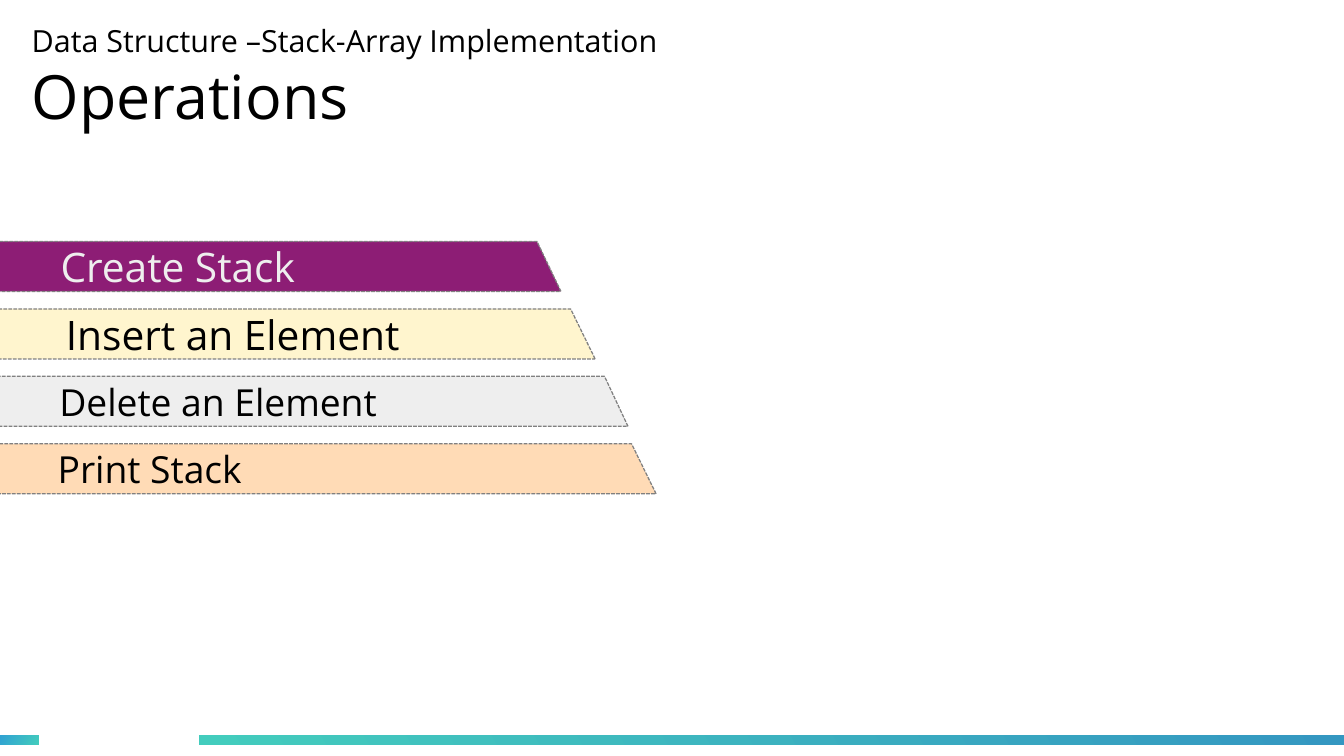
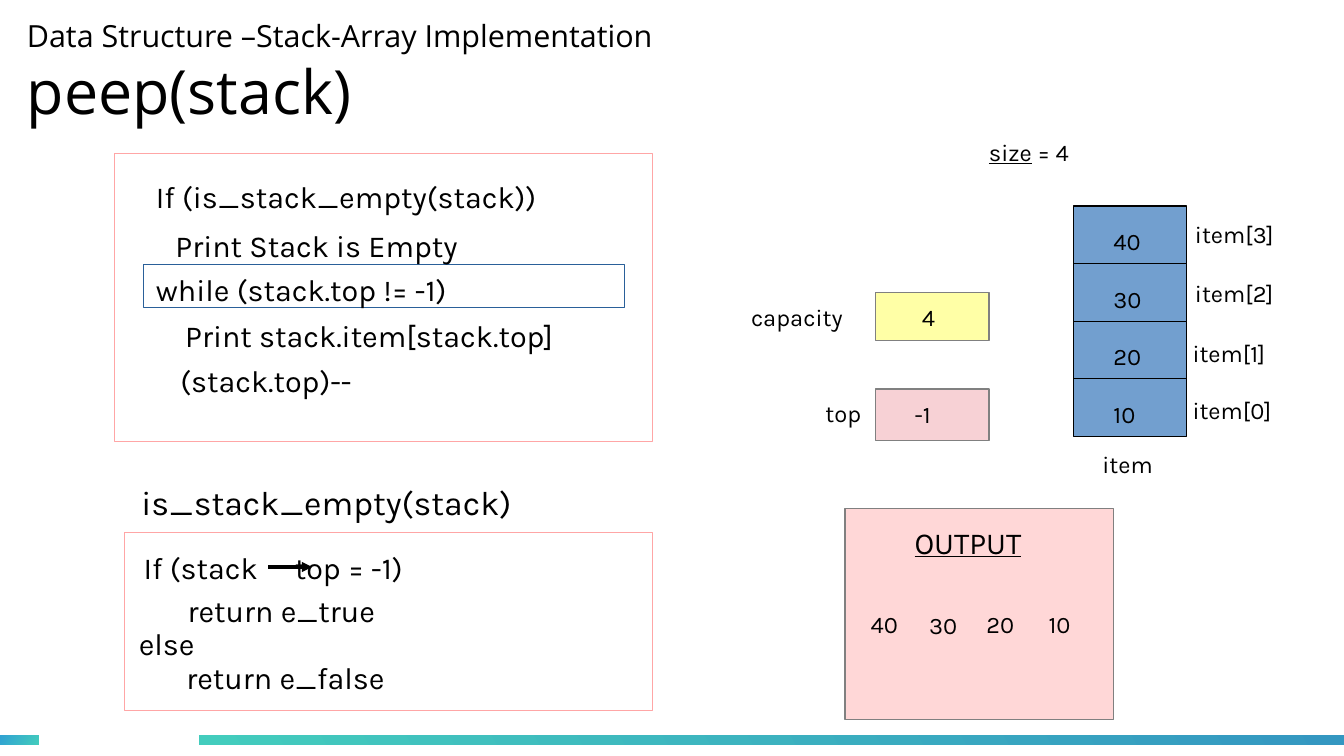
from dataclasses import dataclass

from lxml.etree import SubElement
from pptx import Presentation
from pptx.dml.color import RGBColor
from pptx.enum.dml import MSO_LINE
from pptx.enum.shapes import MSO_CONNECTOR, MSO_SHAPE
from pptx.enum.text import MSO_ANCHOR, PP_ALIGN
from pptx.oxml.ns import qn
from pptx.util import Inches, Pt

# Grid: one column or row is a tenth of an inch
COLUMNS, ROWS = 110.2, 62
HEADING_FONT, CODE_FONT = "Open Sans", "Karla"
BLACK, WHITE, GREY = "000000", "FFFFFF", "808080"
PINK_EDGE, PINK, ROSE, YELLOW = "FFA6A6", "FFD7D7", "F7D1D5", "FFFFA6"
CELL_BLUE, FRAME_BLUE = "729FCF", "2A6099"
TEAL, SKY, SEA = "43CCBD", "30A2D2", "3497C1"
TOPIC = "Data Structure –Stack-Array Implementation"


def grid(count):
    return Inches(count / 10)


def colour(value):
    return RGBColor.from_string(value)


@dataclass
class Box:
    left: float
    top: float
    width: float
    height: float

    def area(self, column, row, width, height):
        return Box(self.left + column, self.top + row, width, height)

    def place(self):
        return [grid(side) for side in (self.left, self.top, self.width, self.height)]


def add_span(para, text, size=14, font=CODE_FONT, ink=BLACK, underline=False):
    span = para.add_run()
    span.text = text
    span.font.size = Pt(size)
    span.font.name = font
    span.font.color.rgb = colour(ink)
    span.font.underline = underline


def set_frame(frame, inset=(1, 0.5), anchor=MSO_ANCHOR.TOP):
    frame.word_wrap = True
    frame.vertical_anchor = anchor
    frame.margin_left = frame.margin_right = grid(inset[0])
    frame.margin_top = frame.margin_bottom = grid(inset[1])
    para = frame.paragraphs[0]
    para.alignment = PP_ALIGN.LEFT
    return para


def add_text(page, box, text, **style):
    holder = page.shapes.add_textbox(*box.place())
    para = set_frame(holder.text_frame)
    add_span(para, text, **style)
    return para


def add_block(page, box, fill=WHITE, edge=None, kind=MSO_SHAPE.RECTANGLE, flip=""):
    block = page.shapes.add_shape(kind, *box.place())
    block.shadow.inherit = False
    block.fill.solid()
    block.fill.fore_color.rgb = colour(fill)
    if edge:
        block.line.color.rgb = colour(edge)
        block.line.width = Pt(0)
    else:
        block.line.fill.background()
    for axis in flip:
        block.element.spPr.find(qn("a:xfrm")).set("flip" + axis, "1")
    return block


def add_value(page, box, text, fill, edge, inset):
    block = add_block(page, box, fill, edge)
    para = set_frame(block.text_frame, inset)
    block.text_frame.margin_right = block.text_frame.margin_bottom = 0
    add_span(para, text)


def add_arrow(page, box):
    left, top, width, height = box.place()
    arrow = page.shapes.add_connector(
        MSO_CONNECTOR.STRAIGHT, left, top, left + width, top + height)
    arrow.line.color.rgb = colour(BLACK)
    arrow.line.width = Pt(0)
    SubElement(arrow.element.spPr.find(qn("a:ln")), qn("a:tailEnd"), type="triangle")
    SubElement(arrow.element.spPr, qn("a:effectLst"))


def add_footer(deck, page, box):
    """Draw the two gradient bars and hand them to the slide master."""
    bars = [(0, 3.2, SKY, "V"), (16.3, 94, SEA, "HV")]
    for column, width, end, flip in bars:
        bar = add_block(page, box.area(column, 0, width, box.height), flip=flip)
        bar.fill.gradient()
        bar.fill.gradient_angle = 210
        for stop, place, shade in zip(bar.fill.gradient_stops, (0, 1), (TEAL, end)):
            stop.position = place
            stop.color.rgb = colour(shade)
        deck.slide_master.element.cSld.spTree.append(bar.element)


def add_page(deck, title, box):
    page = deck.slides.add_slide(deck.slide_layouts[5])
    holder = page.shapes.title
    holder.left, holder.top, holder.width, holder.height = box.place()
    para = set_frame(holder.text_frame, (0, 0), MSO_ANCHOR.MIDDLE)
    add_span(para, TOPIC, size=18, font=HEADING_FONT)
    para.add_line_break()
    add_span(para, title, size=36, font=HEADING_FONT)
    return page


def add_bands(page, box):
    """Stack the slanted bands, each reaching further right."""
    bands = [
        # text, start, width, slant, indent, size, fill, ink
        ("Create Stack", 0, 48.6, 0.48, 2.7, 24, "8D1D75", "EEEEEE"),
        ("Insert an Element", 0.2, 51.2, 0.49, 2.7, 24, "FFF5CE", BLACK),
        ("Delete an Element", 0.4, 53.7, 0.47, 1.8, 22, "EEEEEE", BLACK),
        ("Print Stack", 0, 56.4, 0.49, 1.8, 22, "FFDBB6", BLACK),
    ]
    height = 4.1
    step = (box.height - height) / (len(bands) - 1)
    for index, (text, start, width, slant, indent, size, fill, ink) in enumerate(bands):
        band = add_block(page, box.area(start, index * step, width, height), fill, GREY,
                         MSO_SHAPE.PARALLELOGRAM, "H")
        band.adjustments[0] = slant
        band.line.dash_style = MSO_LINE.SQUARE_DOT
        para = set_frame(band.text_frame, (indent, 0.5), MSO_ANCHOR.MIDDLE)
        add_span(para, text, size=size, font=HEADING_FONT, ink=ink)


def add_code(page, box, lines):
    for text, column, row in lines:
        add_text(page, box.area(column, row, 39, 4.4), text, size=18)


def add_loop_panel(page, box):
    add_block(page, box, WHITE, PINK_EDGE)
    add_block(page, box.area(2.4, 9.1, 39.4, 3.5), WHITE, FRAME_BLUE)
    add_code(page, box, [
        ("If (is_stack_empty(stack))", 2.4, 1.5),
        ("Print Stack is Empty", 4, 5.5),
        ("while (stack.top != -1)", 2.4, 9.1),
        ("Print stack.item[stack.top]", 4.8, 12.9),
        ("(stack.top)--", 4.4, 16.6),
    ])


def add_check_panel(page, box):
    add_text(page, box.area(0.4, -4.7, 36.2, 4.8), "is_stack_empty(stack)", size=20)
    add_block(page, box, WHITE, PINK_EDGE)
    add_code(page, box, [
        ("else", 0.2, 7.1),
        ("If (stack", 0.6, 0.8),
        ("top = -1)", 13, 0.8),
        ("return e_true", 4.2, 4.4),
        ("return e_false", 4.1, 9.9),
    ])
    add_arrow(page, box.area(11.8, 2.8, 3.6, 0))


def add_output_panel(page, box):
    add_block(page, box, PINK, GREY)
    add_text(page, box.area(4.7, 0.8, 12.2, 4.4), "OUTPUT", size=18, underline=True)
    outputs = [("40", 1.1, 7.8), ("30", 5.9, 7.9), ("20", 10.6, 7.8), ("10", 15.7, 7.8)]
    for text, column, row in outputs:
        add_text(page, box.area(column, row, 4.4, 3.6), text)


def add_variables(page, box):
    """Place each named variable beside the box that holds its value."""
    variables = [
        # name, name column, row, value, height, fill, inset
        ("capacity", 0, 0, "4", 3.9, YELLOW, (3.8, 0.8)),
        ("top", 6.1, 7.9, "-1", 4.2, ROSE, (3.2, 0.9)),
    ]
    for name, column, row, value, height, fill, inset in variables:
        add_text(page, box.area(column, row + 0.3, 13, 3.8), name)
        add_value(page, box.area(11.2, row, 9.3, height), value, fill, GREY, inset)


def add_stack_array(page, box):
    values = ["40", "30", "20", "10"]
    label_places = [(9, 0.6), (9, 5.5), (8.8, 10.4), (8.8, 15.1)]
    height = box.height / len(values)
    for index, (value, (column, row)) in enumerate(zip(values, label_places)):
        add_value(page, box.area(0, index * height, box.width, height),
                  value, CELL_BLUE, BLACK, (3.3, 1.7))
        add_text(page, box.area(column, row, 9.3, 5.6), f"item[{len(values) - 1 - index}]")
    add_text(page, box.area(1.4, 19.5, 8.2, 3.8), "item")
    para = add_text(page, box.area(-7.9, -6.1, 15.3, 3.8), "size", underline=True)
    add_span(para, " = 4")


def main():
    deck = Presentation()
    deck.slide_width, deck.slide_height = grid(COLUMNS), grid(ROWS)

    # Operations
    page = add_page(deck, "Operations", Box(2.6, 1.2, 76.8, 10.2))
    add_footer(deck, page, Box(0, 60.3, COLUMNS, 0.8))
    add_bands(page, Box(-2.6, 19.8, 56.4, 20.7))

    # Walk through the stack
    page = add_page(deck, "peep(stack)", Box(2.2, 0.8, 76.8, 10.2))
    add_loop_panel(page, Box(9.4, 12.6, 44.1, 23.6))
    add_check_panel(page, Box(10.2, 43.7, 43.3, 14.6))
    add_output_panel(page, Box(69.3, 41.7, 22, 17.3))
    add_variables(page, Box(60.6, 24, 20.5, 12.1))
    add_stack_array(page, Box(88, 16.9, 9.3, 18.9))

    deck.save("out.pptx")


if __name__ == "__main__":
    main()
